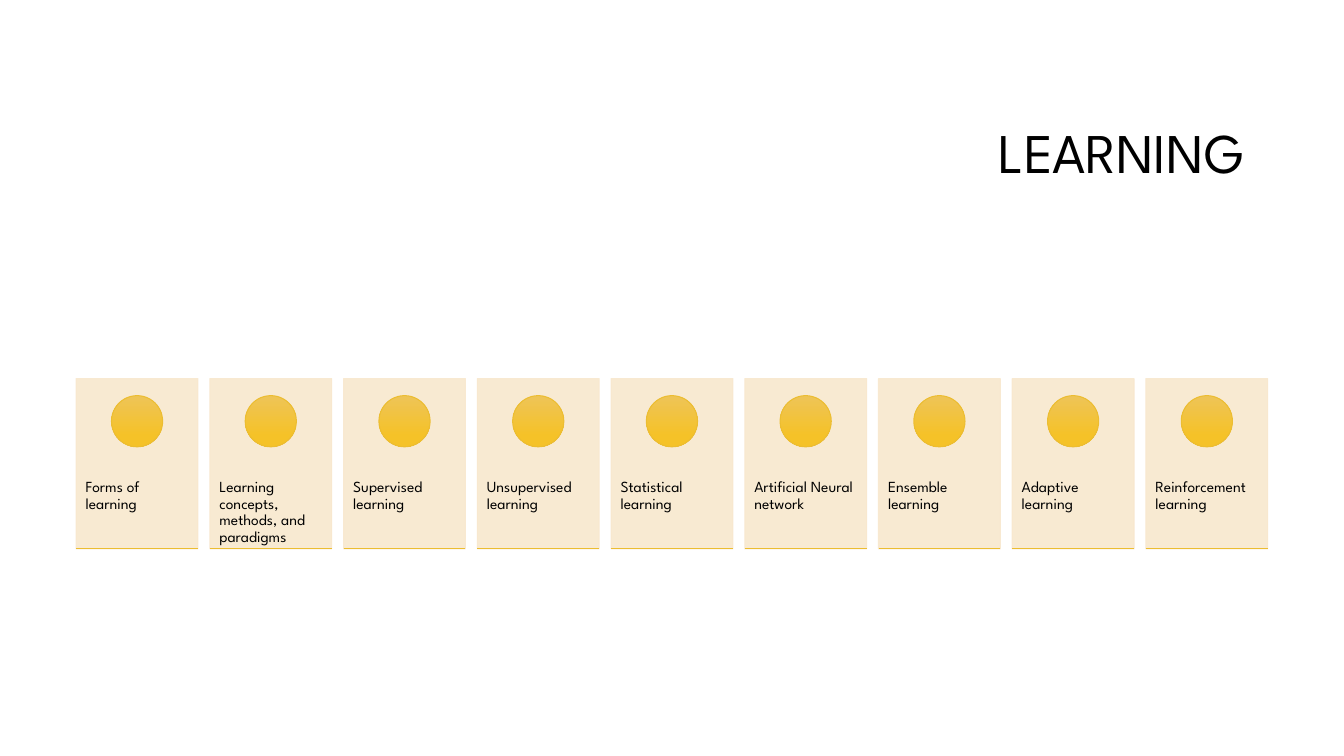
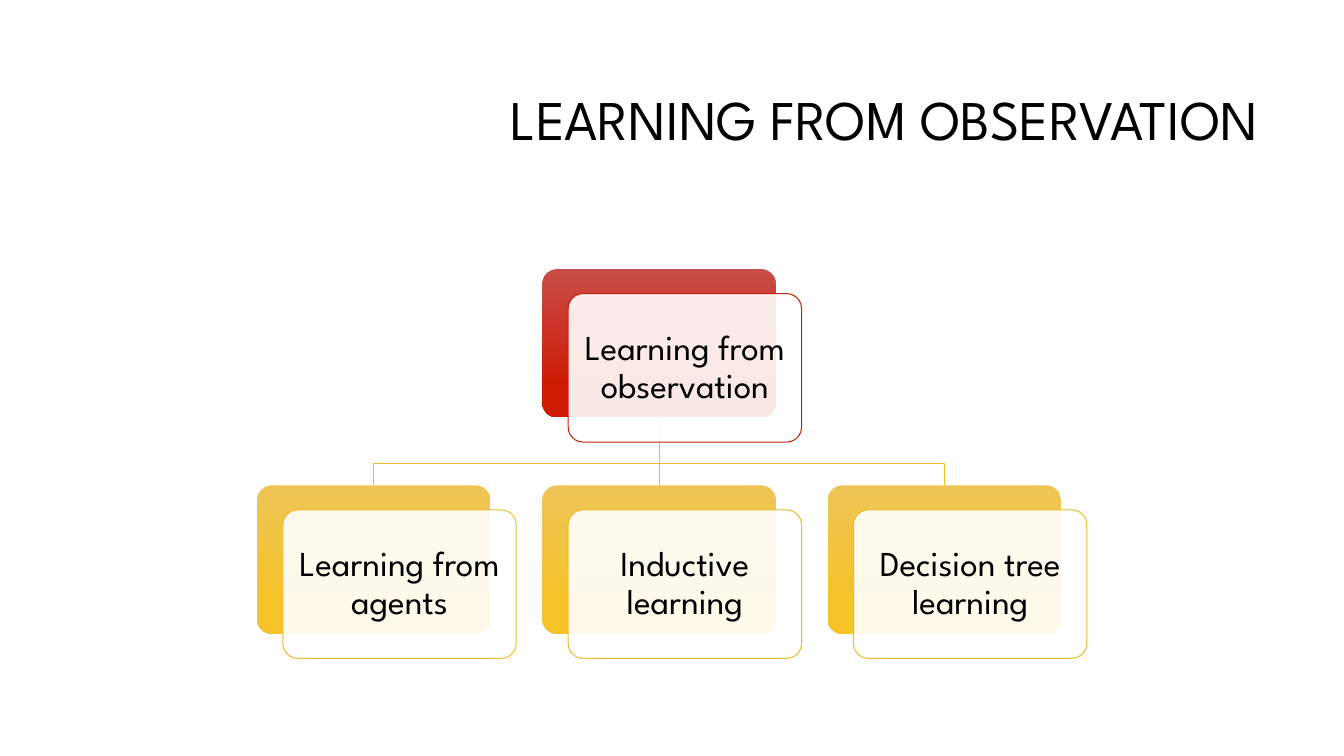
from dataclasses import dataclass
from typing import Any

from lxml.etree import SubElement
from pptx import Presentation
from pptx.dml.color import RGBColor
from pptx.enum.shapes import MSO_CONNECTOR, MSO_SHAPE
from pptx.enum.text import MSO_ANCHOR, MSO_AUTO_SIZE, PP_ALIGN
from pptx.oxml.ns import qn
from pptx.util import Cm, Pt

BLACK = RGBColor(0x00, 0x00, 0x00)
WHITE = RGBColor(0xFF, 0xFF, 0xFF)
CREAM = RGBColor(0xF8, 0xE8, 0xCE)
GOLD_LINE = RGBColor(0xEC, 0xBD, 0x31)
GOLD_TOP = RGBColor(0xEE, 0xC4, 0x57)
GOLD_BOTTOM = RGBColor(0xF5, 0xC2, 0x28)
RED_LINE = RGBColor(0xC4, 0x22, 0x0D)
RED_TOP = RGBColor(0xC9, 0x4D, 0x48)
RED_BOTTOM = RGBColor(0xCD, 0x1B, 0x04)

FONT = "League Spartan"
LINE_WIDTH = Pt(0.75)
OPACITY = 90

TITLE_BOX = {"left": Cm(8.05), "top": Cm(2.13), "width": Cm(23.91), "height": Cm(3.58)}
TITLE_FRAME = {"word_wrap": True, "auto_size": MSO_AUTO_SIZE.NONE,
               "vertical_anchor": MSO_ANCHOR.MIDDLE}
TOPIC_FRAME = {"word_wrap": True, "vertical_anchor": MSO_ANCHOR.TOP,
               "margin_left": Cm(0.24), "margin_right": Cm(0.24),
               "margin_top": Cm(2.54), "margin_bottom": Cm(0)}
NODE_FRAME = {"word_wrap": True, "vertical_anchor": MSO_ANCHOR.MIDDLE,
              "margin_left": Cm(0.25), "margin_right": Cm(0.25),
              "margin_top": Cm(0.25), "margin_bottom": Cm(0.25)}


@dataclass(frozen=True)
class Palette:
    top: RGBColor
    bottom: RGBColor
    line: RGBColor


@dataclass(frozen=True)
class Node:
    label: str
    left: float
    top: float
    palette: Palette


GOLD = Palette(GOLD_TOP, GOLD_BOTTOM, GOLD_LINE)
RED = Palette(RED_TOP, RED_BOTTOM, RED_LINE)

# Topic cards, in centimetres
TOPICS = ("Forms of learning", "Learning concepts, methods, and paradigms",
          "Supervised learning", "Unsupervised learning", "Statistical learning",
          "Artificial Neural network", "Ensemble learning", "Adaptive learning",
          "Reinforcement learning")
TOPIC_LEFT, TOPIC_TOP, TOPIC_PITCH = 1.92, 9.54, 3.37
TOPIC_WIDTH, TOPIC_HEIGHT = 3.07, 4.29
DISC_SIZE, DISC_DROP = 1.29, 0.43

# Tree of learning from observation, in centimetres
NODE_WIDTH, NODE_HEIGHT, NODE_PITCH = 5.88, 3.74, 7.19
FRONT_SHIFT_X, FRONT_SHIFT_Y = 0.65, 0.62
ROOT_LEFT, ROOT_TOP, BRANCH_TOP, BUS_Y = 13.67, 6.78, 12.23, 11.67
ROOT = Node("Learning from observation", ROOT_LEFT, ROOT_TOP, RED)
BRANCHES = [
    Node(label, ROOT_LEFT + step * NODE_PITCH, BRANCH_TOP, GOLD)
    for step, label in enumerate(
        ("Learning from agents", "Inductive learning", "Decision tree learning"), -1)
]


def apply_format(target: Any, values: dict[str, Any]) -> None:
    for name, value in values.items():
        setattr(target, name, value)


def write_text(frame: Any, text: str, size: float, align: PP_ALIGN) -> None:
    frame.text = text
    paragraph = frame.paragraphs[0]
    apply_format(paragraph, {"alignment": align, "line_spacing": 0.9})
    apply_format(paragraph.font, {"name": FONT, "size": Pt(size)})
    paragraph.font.color.rgb = BLACK


def set_color(fill: Any, color: RGBColor, opacity: int = 100) -> None:
    fill.solid()
    fill.fore_color.rgb = color
    if opacity < 100:
        srgb = fill._xPr.find(qn("a:solidFill")).find(qn("a:srgbClr"))
        SubElement(srgb, qn("a:alpha")).set("val", str(opacity * 1000))


def set_gradient(fill: Any, palette: Palette) -> None:
    fill.gradient()
    fill.gradient_angle = 270
    for stop, color, position in zip(
            fill.gradient_stops, (palette.top, palette.bottom), (0, 0.78)):
        stop.color.rgb = color
        stop.position = position


def set_gold_line(line: Any) -> None:
    set_color(line.fill, GOLD_LINE)
    line.width = LINE_WIDTH


def add_block(slide: Any, kind: MSO_SHAPE, left: float, top: float,
              width: float, height: float) -> Any:
    block = slide.shapes.add_shape(kind, Cm(left), Cm(top), Cm(width), Cm(height))
    block.shadow.inherit = False
    block.line.width = LINE_WIDTH
    return block


def add_rule(slide: Any, x1: float, y1: float, x2: float, y2: float) -> Any:
    rule = slide.shapes.add_connector(
        MSO_CONNECTOR.STRAIGHT, Cm(x1), Cm(y1), Cm(x2), Cm(y2))
    set_gold_line(rule.line)
    SubElement(rule._element.spPr, qn("a:effectLst"))
    return rule


def add_elbow(slide: Any, x1: float, y1: float, x2: float, y2: float) -> None:
    builder = slide.shapes.build_freeform(Cm(x1), Cm(y1))
    corners = ((x1, BUS_Y), (x2, BUS_Y), (x2, y2))
    builder.add_line_segments([(Cm(x), Cm(y)) for x, y in corners], close=False)
    elbow = builder.convert_to_shape()
    elbow.shadow.inherit = False
    elbow.fill.background()
    set_gold_line(elbow.line)


def add_titled_slide(deck: Any, title: str, insets: dict[str, Any]) -> Any:
    slide = deck.slides.add_slide(deck.slide_layouts[5])
    heading = slide.shapes.title
    apply_format(heading, TITLE_BOX)
    apply_format(heading.text_frame, TITLE_FRAME | insets)
    write_text(heading.text_frame, title, 40, PP_ALIGN.RIGHT)
    return slide


def add_topic(slide: Any, label: str, left: float) -> None:
    card = add_block(slide, MSO_SHAPE.RECTANGLE, left, TOPIC_TOP, TOPIC_WIDTH, TOPIC_HEIGHT)
    for fill in (card.fill, card.line.fill):
        set_color(fill, CREAM, OPACITY)
    apply_format(card.text_frame, TOPIC_FRAME)
    write_text(card.text_frame, label, 11, PP_ALIGN.LEFT)

    disc = add_block(slide, MSO_SHAPE.OVAL, left + (TOPIC_WIDTH - DISC_SIZE) / 2,
                     TOPIC_TOP + DISC_DROP, DISC_SIZE, DISC_SIZE)
    set_gradient(disc.fill, GOLD)
    set_gold_line(disc.line)

    bottom = TOPIC_TOP + TOPIC_HEIGHT
    add_rule(slide, left, bottom, left + TOPIC_WIDTH, bottom)


def add_node_card(slide: Any, node: Node, dx: float = 0, dy: float = 0) -> Any:
    card = add_block(slide, MSO_SHAPE.ROUNDED_RECTANGLE, node.left + dx, node.top + dy,
                     NODE_WIDTH, NODE_HEIGHT)
    card.adjustments[0] = 0.1
    return card


def add_back_card(slide: Any, node: Node) -> Any:
    card = add_node_card(slide, node)
    set_gradient(card.fill, node.palette)
    card.line.fill.background()
    return card


def add_front_card(slide: Any, node: Node) -> None:
    card = add_node_card(slide, node, FRONT_SHIFT_X, FRONT_SHIFT_Y)
    set_color(card.fill, WHITE, OPACITY)
    set_color(card.line.fill, node.palette.line)
    apply_format(card.text_frame, NODE_FRAME)
    write_text(card.text_frame, node.label, 25, PP_ALIGN.CENTER)


def build_topics(deck: Any) -> None:
    slide = add_titled_slide(deck, "LEARNING", {"margin_right": Cm(0.6)})
    for column, label in enumerate(TOPICS):
        add_topic(slide, label, TOPIC_LEFT + column * TOPIC_PITCH)


def build_tree(deck: Any) -> None:
    slide = add_titled_slide(deck, "LEARNING FROM OBSERVATION", {"margin_bottom": Cm(1.8)})
    root_card = add_back_card(slide, ROOT)
    root_center, root_bottom = ROOT.left + NODE_WIDTH / 2, ROOT.top + NODE_HEIGHT

    # Branch lines lie between the back and front cards
    for branch in BRANCHES:
        card = add_back_card(slide, branch)
        ends = (root_center, root_bottom, branch.left + NODE_WIDTH / 2, branch.top)
        if branch.left == ROOT.left:
            trunk = add_rule(slide, *ends)
            trunk.begin_connect(root_card, 2)
            trunk.end_connect(card, 0)
        else:
            add_elbow(slide, *ends)

    for node in (ROOT, *BRANCHES):
        add_front_card(slide, node)


def main() -> None:
    deck = Presentation()
    deck.slide_width, deck.slide_height = Cm(33.87), Cm(19.05)
    build_topics(deck)
    build_tree(deck)
    deck.save("out.pptx")


if __name__ == "__main__":
    main()
